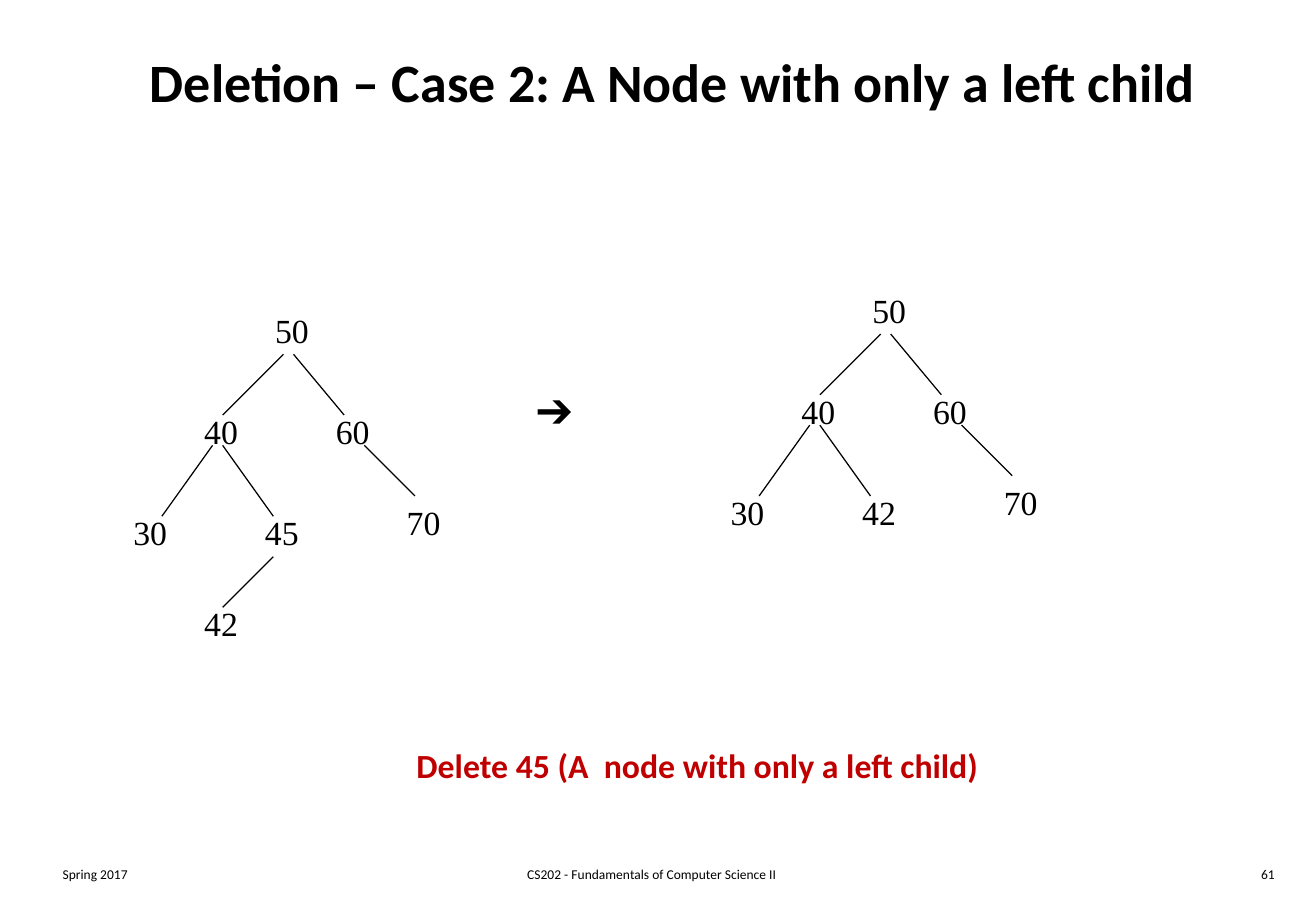
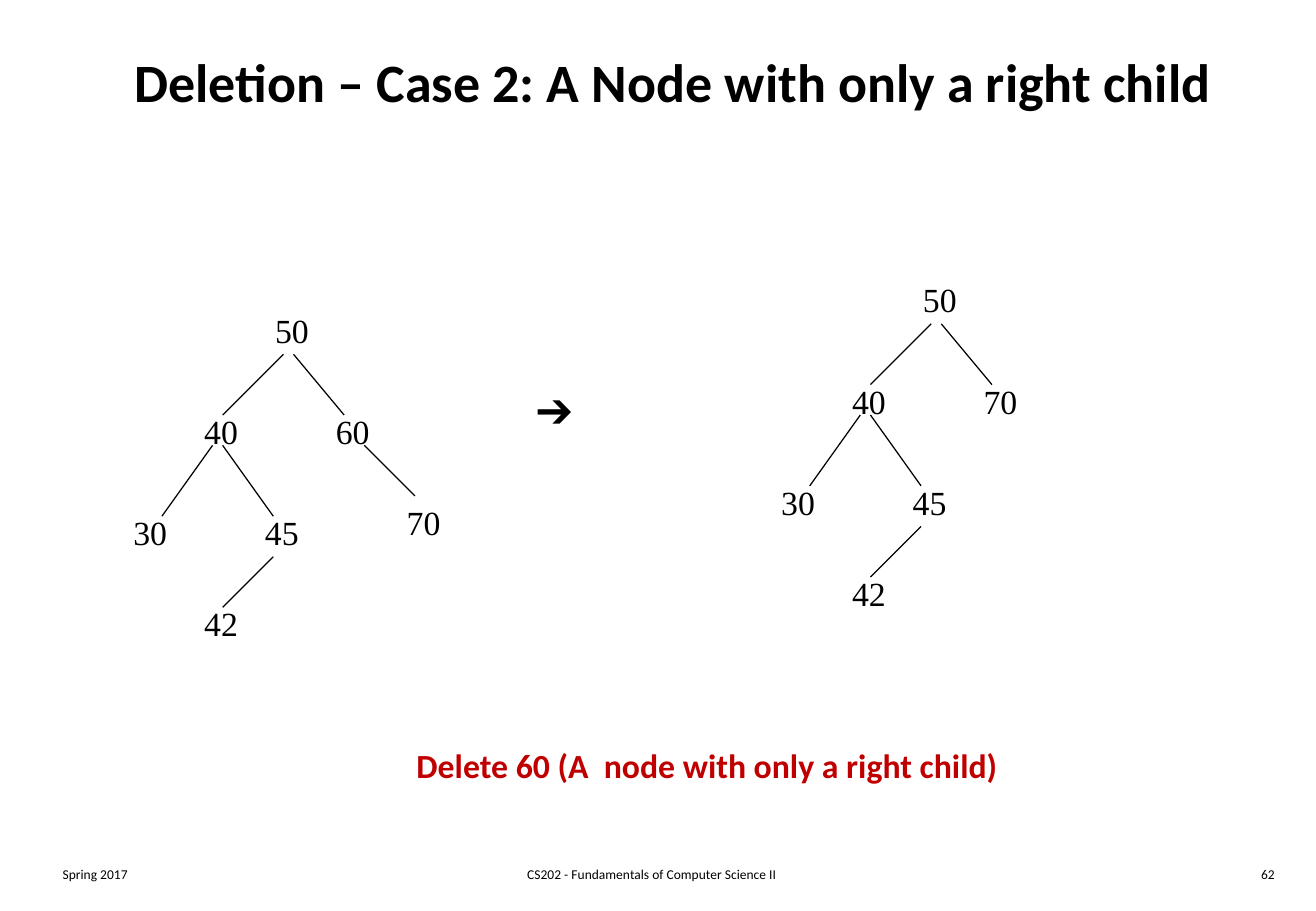
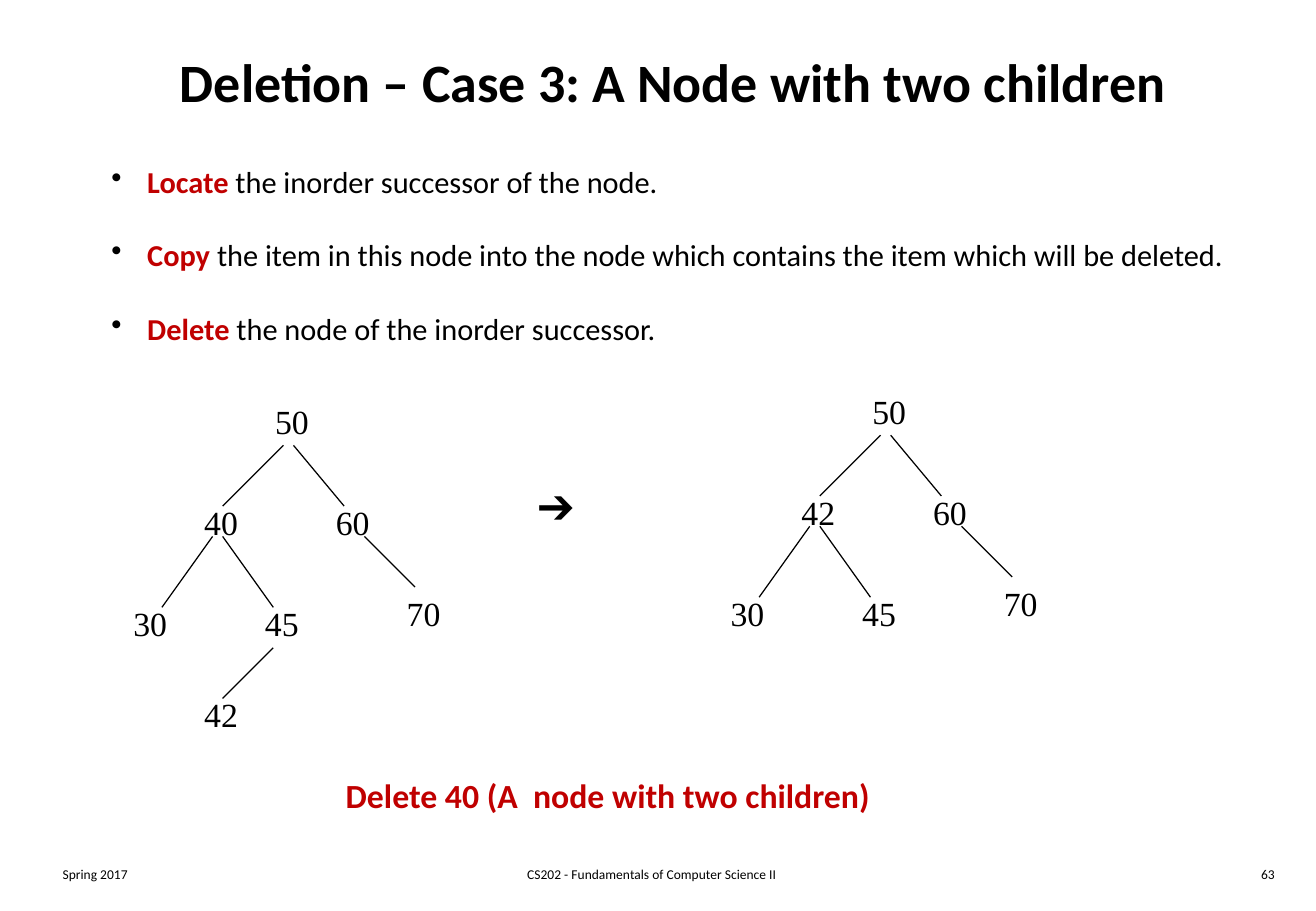
import pptx
import pptx.dml.color
import pptx.enum.shapes
import pptx.enum.text
import pptx.oxml.ns
import pptx.util
from lxml import etree

Cm, Pt, qn = pptx.util.Cm, pptx.util.Pt, pptx.oxml.ns.qn
ALIGN = pptx.enum.text.PP_ALIGN
FIT = pptx.enum.text.MSO_AUTO_SIZE
BLACK, RED = "000000", "C00000"
STEP = 2.54 / 12

NODES = {
    "root": (0, 0),
    "L": (-7, 10),
    "R": (6, 10),
    "LL": (-14, 20),
    "LR": (-1, 20),
    "RR": (13, 19),
    "LRL": (-7, 29),
}
EDGES = {
    "L": (2, 5, -4, 11),
    "R": (3, 5, 8, 11),
    "LL": (-5, 14, -10, 21),
    "LR": (-4, 14, 1, 21),
    "RR": (10, 14, 15, 19),
    "LRL": (1, 25, -4, 30),
}
BEFORE = {"root": 50, "L": 40, "R": 60, "LL": 30, "LR": 45, "RR": 70, "LRL": 42}


def rgb(color):
    return pptx.dml.color.RGBColor.from_string(color)


class Deck:
    styles = {
        "title": {"name": "Calibri", "size": Pt(32), "bold": True},
        "footer": {"name": "Calibri", "size": Pt(8)},
        "node": {"name": "Times New Roman", "size": Pt(20)},
        "arrow": {"name": "Times New Roman", "size": Pt(24)},
        "caption": {"name": "Calibri", "size": Pt(20), "bold": True},
        "body": {"name": "Calibri", "size": Pt(18)},
        "key": {"name": "Calibri", "size": Pt(18), "bold": True},
    }
    footers = [(1.06, 5.74, ALIGN.LEFT), (8.48, 10.31, ALIGN.CENTER), (21.17, 5.74, ALIGN.RIGHT)]

    def __init__(self):
        self.prs = pptx.Presentation()
        self.prs.slide_width, self.prs.slide_height = Cm(27.52), Cm(19.05)
        self.s = None

    def run(self, p, text, style, color=BLACK):
        r = p.add_run()
        r.text = text
        for key, value in self.styles[style].items():
            setattr(r.font, key, value)
        r.font.color.rgb = rgb(color)

    def slide(self, title, number):
        self.s = self.prs.slides.add_slide(self.prs.slide_layouts[5])
        sp = self.s.shapes.title
        frame = {"left": 1.06, "top": 0.42, "width": 26.04, "height": 2.54}
        for key, value in frame.items():
            setattr(sp, key, Cm(value))
        tf = sp.text_frame
        tf.auto_size = FIT.NONE
        tf.vertical_anchor = pptx.enum.text.MSO_ANCHOR.MIDDLE
        p = tf.paragraphs[0]
        p.alignment = ALIGN.CENTER
        self.run(p, title, "title")
        texts = ("Spring 2017", "CS202 - Fundamentals of Computer Science II", str(number))
        for text, (left, width, align) in zip(texts, self.footers):
            tf = self.text(text, (left, 17.98, width, 0.64), "footer", wrap=True)
            tf.paragraphs[0].alignment = align

    def box(self, at, wrap=False, shapes=None):
        shapes = self.s.shapes if shapes is None else shapes
        tf = shapes.add_textbox(*map(Cm, at)).text_frame
        tf.word_wrap = wrap
        tf.auto_size = FIT.NONE if wrap else FIT.SHAPE_TO_FIT_TEXT
        return tf

    def text(self, text, at, style, color=BLACK, wrap=False, shapes=None):
        tf = self.box(at, wrap, shapes)
        self.run(tf.paragraphs[0], text, style, color)
        return tf

    def bullets(self, items, at):
        tf = self.box(at)
        for i, (key, rest) in enumerate(items):
            p = tf.add_paragraph() if i else tf.paragraphs[0]
            p.space_before = Pt(22 if i else 0)
            pPr = p._p.get_or_add_pPr()
            pPr.set("marL", str(Cm(0.75)))
            pPr.set("indent", str(Cm(-0.75)))
            clr = etree.SubElement(pPr, qn("a:buClr"))
            etree.SubElement(clr, qn("a:srgbClr")).set("val", BLACK)
            etree.SubElement(pPr, qn("a:buChar")).set("char", "•")
            self.run(p, key, "key", RED)
            self.run(p, rest, "body")

    def line(self, ends, shapes):
        straight = pptx.enum.shapes.MSO_CONNECTOR.STRAIGHT
        c = shapes.add_connector(straight, *map(Cm, ends))
        c.line.color.rgb = rgb(BLACK)
        c.line.width = Pt(0.75)
        etree.SubElement(c.element.spPr, qn("a:effectLst"))

    def tree(self, values, col, row):
        shapes = self.s.shapes.add_group_shape().shapes
        for node, value in values.items():
            if node in EDGES:
                x1, y1, x2, y2 = EDGES[node]
                ends = (col + x1, row + y1, col + x2, row + y2)
                self.line([v * STEP for v in ends], shapes)
            dx, dy = NODES[node]
            at = ((col + dx) * STEP, (row + dy) * STEP, 1.22, 1.09)
            self.text(str(value), at, "node", shapes=shapes)

    def deletion(self, before_at, after, after_at, arrow_at, caption, caption_at):
        self.tree(BEFORE, *before_at)
        self.tree(after, *after_at)
        self.text("➔", (*arrow_at, 1.42, 1.27), "arrow")
        self.text(caption, (*caption_at, 1.12), "caption", RED)


def main():
    d = Deck()

    d.slide("Deletion – Case 2: A Node with only a left child", 61)
    after = {"root": 50, "L": 40, "R": 60, "LL": 30, "LR": 42, "RR": 70}
    d.deletion((26, 30), after, (85, 28), (10.97, 7.95),
               "Delete 45 (A  node with only a left child)", (8.46, 15.44, 12.37))

    d.slide("Deletion – Case 2: A Node with only a right child", 62)
    after = {"root": 50, "L": 40, "R": 70, "LL": 30, "LR": 45, "LRL": 42}
    d.deletion((26, 30), after, (90, 27), (10.97, 7.95),
               "Delete 60 (A  node with only a right child)", (8.46, 15.44, 12.75))

    d.slide("Deletion – Case 3: A Node with two children", 63)
    d.bullets([
        ("Locate", " the inorder successor of the node."),
        ("Copy", " the item in this node into the node which contains the item which will be deleted."),
        ("Delete", " the node of the inorder successor."),
    ], (2.08, 3.28, 23.77, 4.11))
    after = {"root": 50, "L": 42, "R": 60, "LL": 30, "LR": 45, "RR": 70}
    d.deletion((26, 39), after, (85, 38), (11, 9.96),
               "Delete 40 (A  node with two children)", (6.98, 16.08, 11.56))

    d.prs.save("out.pptx")


if __name__ == "__main__":
    main()
